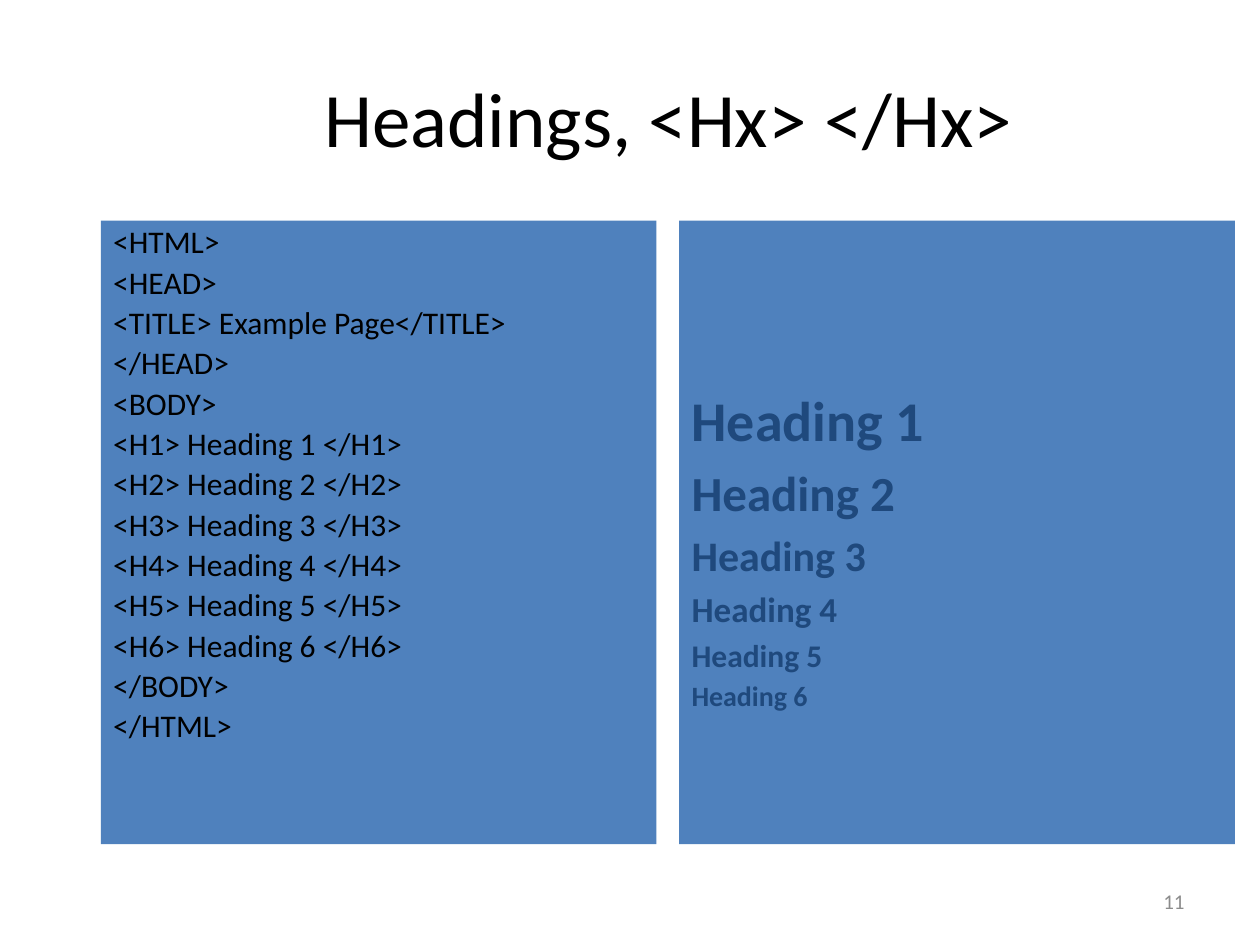
"""Build the slide that pairs HTML heading tags with their rendered sizes."""
from lxml.etree import SubElement
from pptx import Presentation
from pptx.dml.color import RGBColor as RGB
from pptx.enum.shapes import MSO_SHAPE as Shape
from pptx.enum.text import MSO_ANCHOR as Anchor, PP_ALIGN as Align
from pptx.oxml.ns import qn
from pptx.util import Inches, Pt

TITLE = "Headings, <Hx> </Hx>"
NUMBER = "11"
SIZES = [32, 28, 24, 20, 18, 16]
HEADS = [f"Heading {n}" for n in range(1, len(SIZES) + 1)]
TAGS = [f"<H{n}> {head} </H{n}>" for n, head in enumerate(HEADS, 1)]
CODE = ["<HTML>", "<HEAD>", "<TITLE> Example Page</TITLE>", "</HEAD>", "<BODY>",
        *TAGS, "</BODY>", "</HTML>"]
THEME = {
    "font": "Calibri", "title": 44, "code": 18, "number": 12,
    "ink": RGB(0, 0, 0), "head": RGB(0x1F, 0x49, 0x7D),
    "panel": RGB(0x4F, 0x81, 0xBD), "paper": RGB(255, 255, 255),
    "grey": RGB(0x8C, 0x8C, 0x8C),
}
LEFT, TOP, WIDTH, HEIGHT, GAP = 0.8, 1.75, 4.41, 4.95, 0.18
PANELS = [
    {"lines": [(line, THEME["code"]) for line in CODE],
     "color": THEME["ink"], "bold": False, "space": 0.9, "inset": 0.05},
    {"lines": list(zip(HEADS, SIZES)),
     "color": THEME["head"], "bold": True, "space": 1.0, "inset": 1.31},
]


def style(para, size, color, align, bold=False):
    para.alignment = align
    font = para.font
    font.name, font.size, font.bold = THEME["font"], Pt(size), bold
    font.color.rgb = color


def indent(para, space):
    para.line_spacing = space
    props = para._p.get_or_add_pPr()
    props.set("marL", str(Inches(0.38)))
    props.set("indent", str(Inches(-0.38)))
    before = SubElement(props, qn("a:spcBef"))
    SubElement(before, qn("a:spcPct")).set("val", "20000")


def add_panel(slide, left, panel):
    box = slide.shapes.add_shape(
        Shape.RECTANGLE, Inches(left), Inches(TOP), Inches(WIDTH), Inches(HEIGHT))
    box.shadow.inherit = False
    box.fill.solid()
    box.fill.fore_color.rgb = THEME["panel"]
    box.line.fill.background()
    frame = box.text_frame
    frame.word_wrap = True
    frame.vertical_anchor = Anchor.TOP
    frame.margin_top = Inches(panel["inset"])
    for i, (line, size) in enumerate(panel["lines"]):
        para = frame.add_paragraph() if i else frame.paragraphs[0]
        para.text = line
        indent(para, panel["space"])
        style(para, size, panel["color"], Align.LEFT, panel["bold"])


def main():
    deck = Presentation()
    deck.slide_width, deck.slide_height = Inches(10), Inches(7.5)
    slide = deck.slides.add_slide(deck.slide_layouts[5])

    title = slide.shapes.title
    title.left, title.top = Inches(0.97), Inches(0.3)
    title.width, title.height = Inches(8.67), Inches(1.25)
    title.fill.solid()
    title.fill.fore_color.rgb = THEME["paper"]
    title.text_frame.text = TITLE
    title.text_frame.vertical_anchor = Anchor.MIDDLE
    style(title.text_frame.paragraphs[0], THEME["title"], THEME["ink"], Align.CENTER)

    for i, panel in enumerate(PANELS):
        add_panel(slide, LEFT + i * (WIDTH + GAP), panel)

    page = slide.shapes.add_textbox(
        Inches(7.17), Inches(6.95), Inches(2.33), Inches(0.4)).text_frame
    page.word_wrap = True
    page.vertical_anchor = Anchor.MIDDLE
    page.text = NUMBER
    style(page.paragraphs[0], THEME["number"], THEME["grey"], Align.RIGHT)
    deck.save("out.pptx")


if __name__ == "__main__":
    main()
